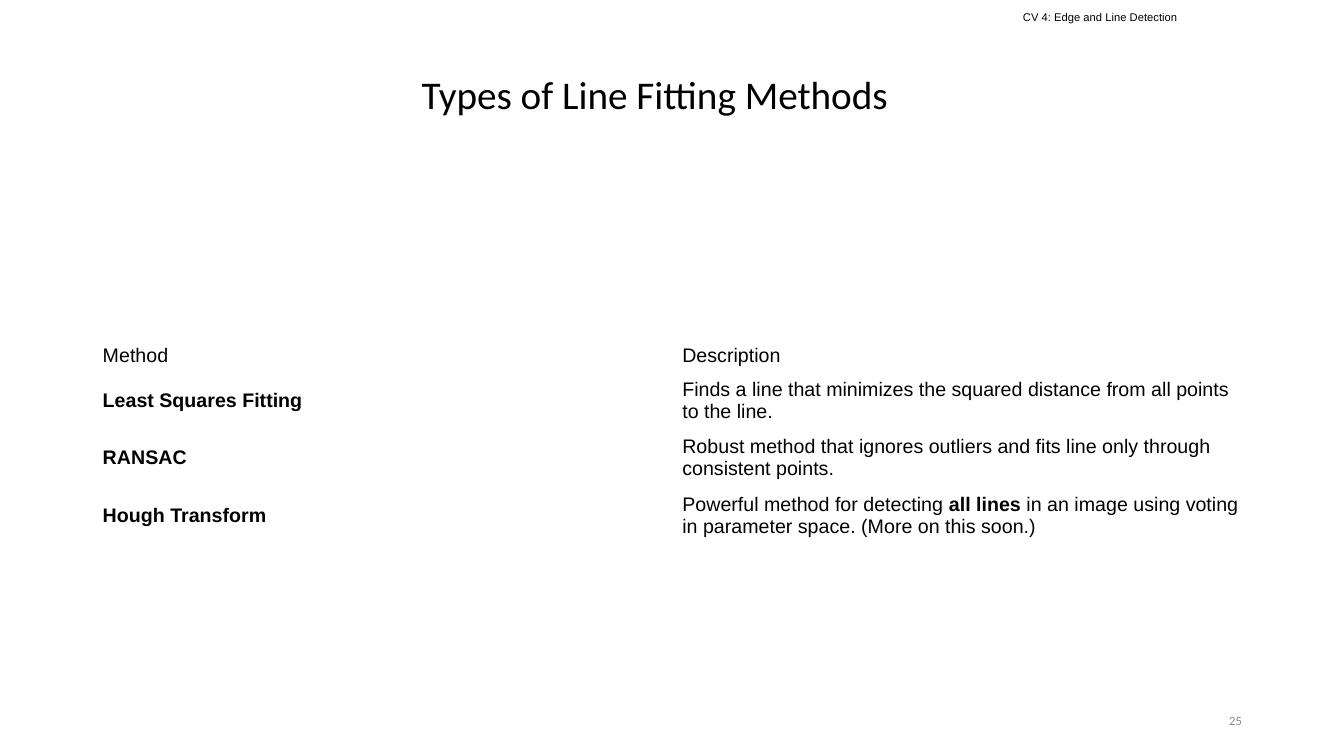
import pptx
import pptx.util
import pptx.dml.color
import pptx.enum.text

Pt = pptx.util.Pt
RGB = pptx.dml.color.RGBColor
ALIGN = pptx.enum.text.PP_ALIGN
MIDDLE = pptx.enum.text.MSO_ANCHOR.MIDDLE

theme = {
    "ink": RGB(0, 0, 0),
    "gray": RGB(0x88, 0x88, 0x88),
    "head": 8,
    "title": 28,
    "page": 9,
    "body": 14,
}


def write(para, text, size, face="Arial", color="ink", bold=False):
    run = para.add_run()
    run.text = text
    run.font.size = Pt(theme[size])
    run.font.name = face
    run.font.bold = bold
    run.font.color.rgb = theme[color]


deck = pptx.Presentation()
deck.slide_width = Pt(960)
deck.slide_height = Pt(540)
slide = deck.slides.add_slide(deck.slide_layouts[6])

labels = [
    ("CV 4: Edge and Line Detection", (723.6, 0, 236.2, 24.5), 7.2,
     "head", "Arial", "ink", ALIGN.LEFT, None),
    ("Types of Line Fitting Methods", (66.2, 28.8, 802.8, 80.6), 3.6,
     "title", "Calibri", "ink", ALIGN.CENTER, 0.9),
    ("25", (678.2, 500.4, 216, 28.8), 3.6,
     "page", "Calibri", "gray", ALIGN.RIGHT, None),
]
for text, place, inset, size, face, color, align, space in labels:
    box = slide.shapes.add_textbox(*[Pt(n) for n in place])
    frame = box.text_frame
    frame.word_wrap = True
    frame.margin_left = frame.margin_right = Pt(7.2)
    frame.margin_top = frame.margin_bottom = Pt(inset)
    frame.vertical_anchor = MIDDLE
    para = frame.paragraphs[0]
    para.alignment = align
    para.line_spacing = space
    write(para, text, size, face, color)

rows = [
    [[("Method", False)], [("Description", False)]],
    [[("Least Squares Fitting", True)],
     [("Finds a line that minimizes the squared distance from all points to the line.", False)]],
    [[("RANSAC", True)],
     [("Robust method that ignores outliers and fits line only through consistent points.", False)]],
    [[("Hough Transform", True)],
     [("Powerful method for detecting ", False), ("all lines", True),
      (" in an image using voting in parameter space. (More on this soon.)", False)]],
]
table = slide.shapes.add_table(4, 2, Pt(66.2), Pt(241.9), Pt(828), Pt(139)).table
table.first_row = False
table.horz_banding = False
for r, row in enumerate(rows):
    table.rows[r].height = Pt(38.5 if r else 23.5)
    for c, runs in enumerate(row):
        cell = table.cell(r, c)
        cell.fill.background()
        cell.vertical_anchor = MIDDLE
        for text, bold in runs:
            write(cell.text_frame.paragraphs[0], text, "body", bold=bold)

deck.save("out.pptx")
